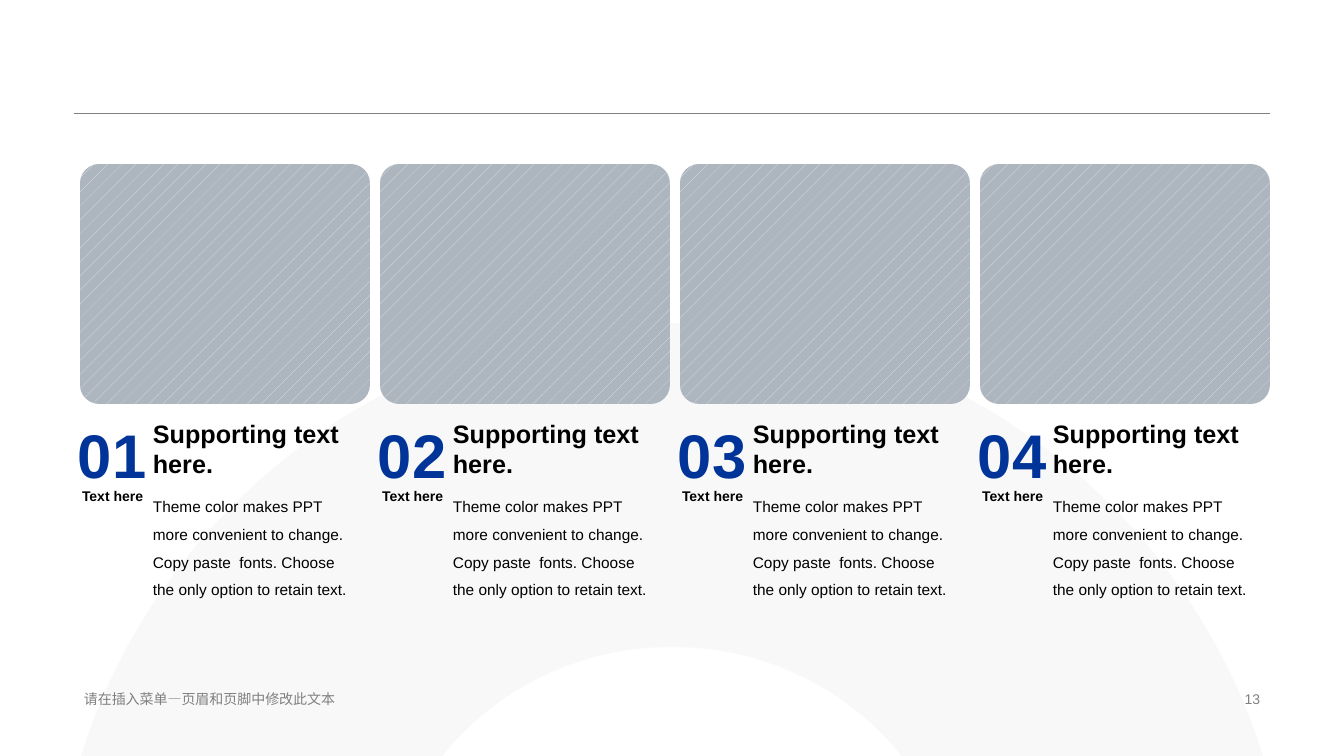
from dataclasses import dataclass

from lxml.etree import SubElement
from pptx import Presentation
from pptx.dml.color import RGBColor
from pptx.enum.dml import MSO_PATTERN
from pptx.enum.shapes import MSO_CONNECTOR, MSO_SHAPE
from pptx.enum.text import MSO_ANCHOR, MSO_AUTO_SIZE, PP_ALIGN
from pptx.oxml.ns import qn
from pptx.shapes.autoshape import Shape
from pptx.slide import Slide
from pptx.util import Pt

SLIDE_WIDTH, SLIDE_HEIGHT = 1344, 756
EMU_PER_PX = 12192000 / SLIDE_WIDTH
COLORS = {
    "background": "FFFFFF",
    "gray": "808080",
    "number": "003499",
    "text": "000000",
    "card": "ADB5BF",
    "hatch": "E4E6EA",
}
FONT = "Arial"
COLUMN_PITCH = 300


@dataclass(frozen=True)
class TextBlock:
    left: int
    top: int
    width: int
    height: int
    size: int
    color: str = "text"
    bold: bool = False
    align: PP_ALIGN = PP_ALIGN.LEFT
    line_spacing: float = 1.0
    wrap: bool = True
    anchor: MSO_ANCHOR = MSO_ANCHOR.TOP
    grow: bool = True


NUMBER = TextBlock(68, 412, 90, 85, 44, color="number", bold=True, wrap=False)
CAPTION = TextBlock(71, 483, 83, 27, 10, bold=True, align=PP_ALIGN.CENTER, wrap=False)
HEADING = TextBlock(143, 413, 227, 72, 18, bold=True)
BODY = TextBlock(143, 483, 227, 119, 11, line_spacing=1.5)
FOOTER = TextBlock(74, 687, 457, 23, 10, color="gray", anchor=MSO_ANCHOR.MIDDLE, grow=False)
PAGE_NUMBER = TextBlock(950, 687, 320, 23, 10, color="gray", align=PP_ALIGN.RIGHT,
                        anchor=MSO_ANCHOR.MIDDLE, grow=False)

BODY_LINES = [
    "Theme color makes PPT more convenient to change.",
    "Copy paste  fonts. Choose the only option to retain text.",
]

# Right half of the arch, from the outer top to the inner top
ARCH_RIGHT_HALF = [
    (672, 323), (939, 323), (1167, 492), (1254, 729), (1263, 756),
    (901, 756), (900, 754), (846, 688), (764, 647), (672, 647),
]
ARCH_CURVE_STARTS = (0, 6, 9, 15)


def px(length: int) -> int:
    return round(length * EMU_PER_PX)


def rgb(name: str) -> RGBColor:
    return RGBColor.from_string(COLORS[name])


def add_text(slide: Slide, block: TextBlock, lines: list[str], shift: int = 0) -> None:
    """Place the lines as paragraphs, moved right by shift."""
    shape = slide.shapes.add_textbox(
        px(block.left + shift), px(block.top), px(block.width), px(block.height))
    frame = shape.text_frame
    frame.word_wrap = block.wrap
    frame.vertical_anchor = block.anchor
    frame.auto_size = MSO_AUTO_SIZE.SHAPE_TO_FIT_TEXT if block.grow else MSO_AUTO_SIZE.NONE
    for index, line in enumerate(lines):
        paragraph = frame.add_paragraph() if index else frame.paragraphs[0]
        paragraph.alignment = block.align
        paragraph.line_spacing = block.line_spacing
        run = paragraph.add_run()
        run.text = line
        run.font.name = FONT
        run.font.size = Pt(block.size)
        run.font.bold = block.bold
        run.font.color.rgb = rgb(block.color)


def bend_segments(shape: Shape, starts: tuple[int, ...]) -> None:
    """Turn the three straight segments from each start into one cubic curve."""
    segments = list(shape._element.iter(qn("a:lnTo")))
    for start in starts:
        first, *others = segments[start:start + 3]
        first.tag = qn("a:cubicBezTo")
        for segment in others:
            first.append(segment[0])
            segment.getparent().remove(segment)


def add_background_arch(slide: Slide) -> None:
    left_half = [(SLIDE_WIDTH - x, y) for x, y in reversed(ARCH_RIGHT_HALF)]
    outline = [(px(x), px(y)) for x, y in ARCH_RIGHT_HALF + left_half[1:]]
    builder = slide.shapes.build_freeform(*outline[0], scale=1.0)
    builder.add_line_segments(outline[1:], close=True)
    arch = builder.convert_to_shape()
    bend_segments(arch, ARCH_CURVE_STARTS)
    arch.shadow.inherit = False
    arch.line.fill.background()
    arch.fill.solid()
    arch.fill.fore_color.rgb = rgb("gray")
    color = arch._element.spPr.find(qn("a:solidFill")).find(qn("a:srgbClr"))
    SubElement(color, qn("a:alpha")).set("val", "5000")


def add_title_rule(slide: Slide) -> None:
    rule = slide.shapes.add_connector(
        MSO_CONNECTOR.STRAIGHT, px(74), px(113), px(1270), px(113))
    rule.line.color.rgb = rgb("gray")
    rule.line.width = Pt(0.25)
    SubElement(rule._element.spPr, qn("a:effectLst"))


def add_card(slide: Slide, shift: int) -> None:
    card = slide.shapes.add_shape(
        MSO_SHAPE.ROUNDED_RECTANGLE, px(80 + shift), px(164), px(290), px(240))
    card.adjustments[0] = 0.08
    card.shadow.inherit = False
    card.line.fill.background()
    card.fill.patterned()
    card.fill.pattern = MSO_PATTERN.PERCENT_5
    card.fill.fore_color.rgb = rgb("hatch")
    card.fill.back_color.rgb = rgb("card")


def add_column(slide: Slide, index: int) -> None:
    shift = index * COLUMN_PITCH
    add_card(slide, shift)
    add_text(slide, NUMBER, [f"{index + 1:02d}"], shift)
    add_text(slide, CAPTION, ["Text here"], shift)
    add_text(slide, HEADING, ["Supporting text here."], shift)
    add_text(slide, BODY, BODY_LINES, shift)


def main() -> None:
    presentation = Presentation()
    presentation.slide_width = px(SLIDE_WIDTH)
    presentation.slide_height = px(SLIDE_HEIGHT)
    slide = presentation.slides.add_slide(presentation.slide_layouts[6])
    slide.background.fill.solid()
    slide.background.fill.fore_color.rgb = rgb("background")

    add_title_rule(slide)
    add_text(slide, FOOTER, ["请在插入菜单—页眉和页脚中修改此文本"])
    add_text(slide, PAGE_NUMBER, ["13"])
    add_background_arch(slide)
    for index in range(4):
        add_column(slide, index)

    presentation.save("out.pptx")


if __name__ == "__main__":
    main()
